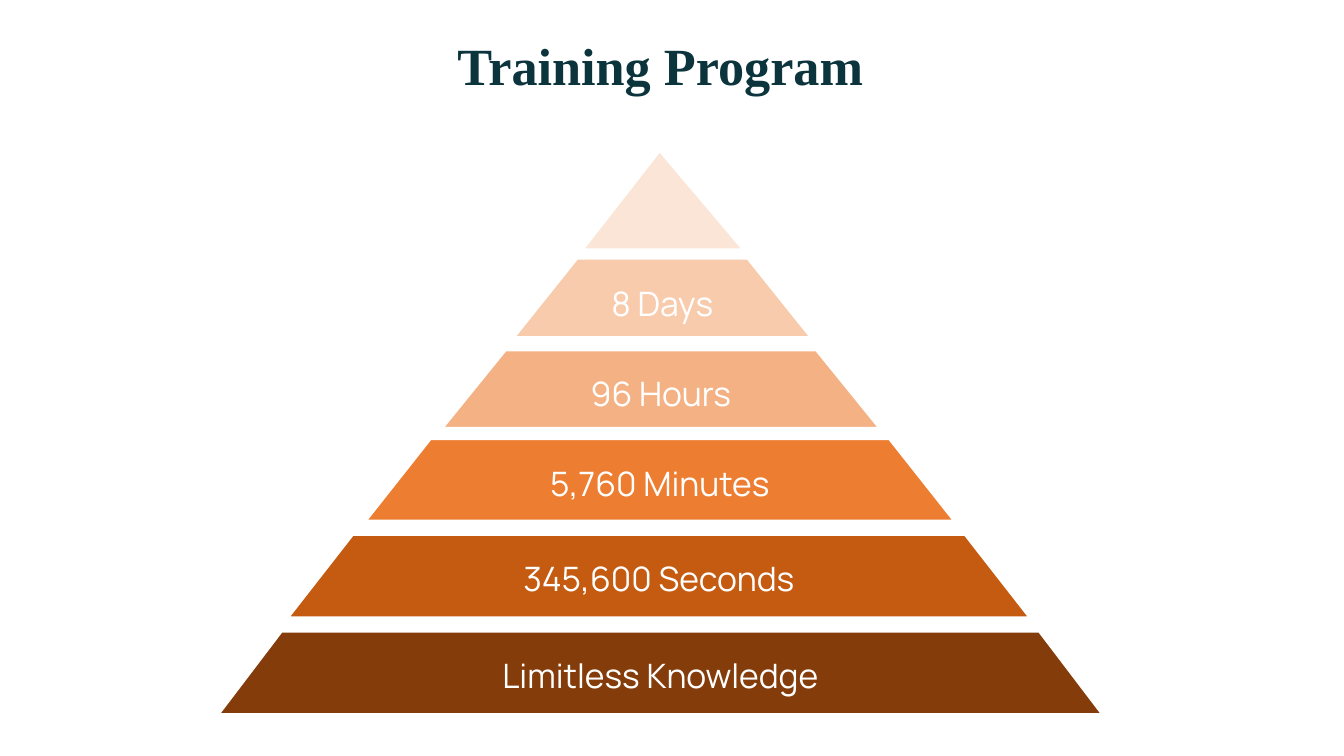
from pptx import Presentation
from pptx.dml.color import RGBColor
from pptx.enum.shapes import MSO_SHAPE as Shape
from pptx.enum.text import MSO_ANCHOR as Anchor, PP_ALIGN as Align
from pptx.util import Inches, Pt

COLORS = {
    "title": "0C343D",
    "white": "FFFFFF",
    "peak": "FBE5D6",
    "days": "F8CBAD",
    "hours": "F4B183",
    "minutes": "ED7D31",
    "seconds": "C55A11",
    "knowledge": "843C0B",
}

TIERS = [
    ("345,600 Seconds", "seconds", (2.85, 5.3, 7.37, 0.83), 0.78),
    ("5,760 Minutes", "minutes", (3.62, 4.35, 5.85, 0.82), 0.79),
    ("96 Hours", "hours", (4.38, 3.47, 4.35, 0.78), 0.81),
    ("8 Days", "days", (5.09, 2.56, 2.96, 0.79), 0.8),
    ("Limitless Knowledge", "knowledge", (2.16, 6.26, 8.78, 0.83), 0.76),
]


class PyramidPage:
    title_font = "Times New Roman"
    label_font = "Manrope"

    def __init__(self, deck):
        self.page = deck.slides.add_slide(deck.slide_layouts[5])

    def color(self, name):
        return RGBColor.from_string(COLORS[name])

    def label(self, shape, text, font, size, color, anchor, bold=False):
        frame = shape.text_frame
        frame.text = text
        frame.word_wrap = True
        frame.vertical_anchor = anchor
        para = frame.paragraphs[0]
        para.alignment = Align.CENTER
        span = para.runs[0]
        span.font.name = font
        span.font.size = Pt(size)
        span.font.bold = bold
        span.font.color.rgb = self.color(color)

    def title(self, text, left, top, width, height):
        box = self.page.shapes.title
        box.left, box.top = Inches(left), Inches(top)
        box.width, box.height = Inches(width), Inches(height)
        self.label(box, text, self.title_font, 37.3, "title", Anchor.TOP, bold=True)
        frame = box.text_frame
        frame.margin_left = frame.margin_right = Inches(0.13)
        frame.margin_top = frame.margin_bottom = Inches(0.13)

    def block(self, kind, bounds, slant, fill):
        shape = self.page.shapes.add_shape(kind, *map(Inches, bounds))
        shape.adjustments[0] = slant
        shape.shadow.inherit = False
        shape.fill.solid()
        shape.fill.fore_color.rgb = self.color(fill)
        shape.line.color.rgb = self.color("white")
        shape.line.width = Pt(2.25)
        return shape

    def tier(self, text, fill, bounds, slant):
        shape = self.block(Shape.TRAPEZOID, bounds, slant, fill)
        self.label(shape, text, self.label_font, 24, "white", Anchor.MIDDLE)

    def peak(self, bounds, apex):
        self.block(Shape.ISOSCELES_TRIANGLE, bounds, apex, "peak")


def main():
    deck = Presentation()
    deck.slide_width = Inches(13.33)
    deck.slide_height = Inches(7.5)
    pyramid = PyramidPage(deck)
    pyramid.title("Training Program", 1.79, 0.2, 9.52, 0.9)
    for tier in TIERS:
        pyramid.tier(*tier)
    pyramid.peak((5.77, 1.49, 1.61, 0.99), 0.48)
    deck.save("out.pptx")


if __name__ == "__main__":
    main()
